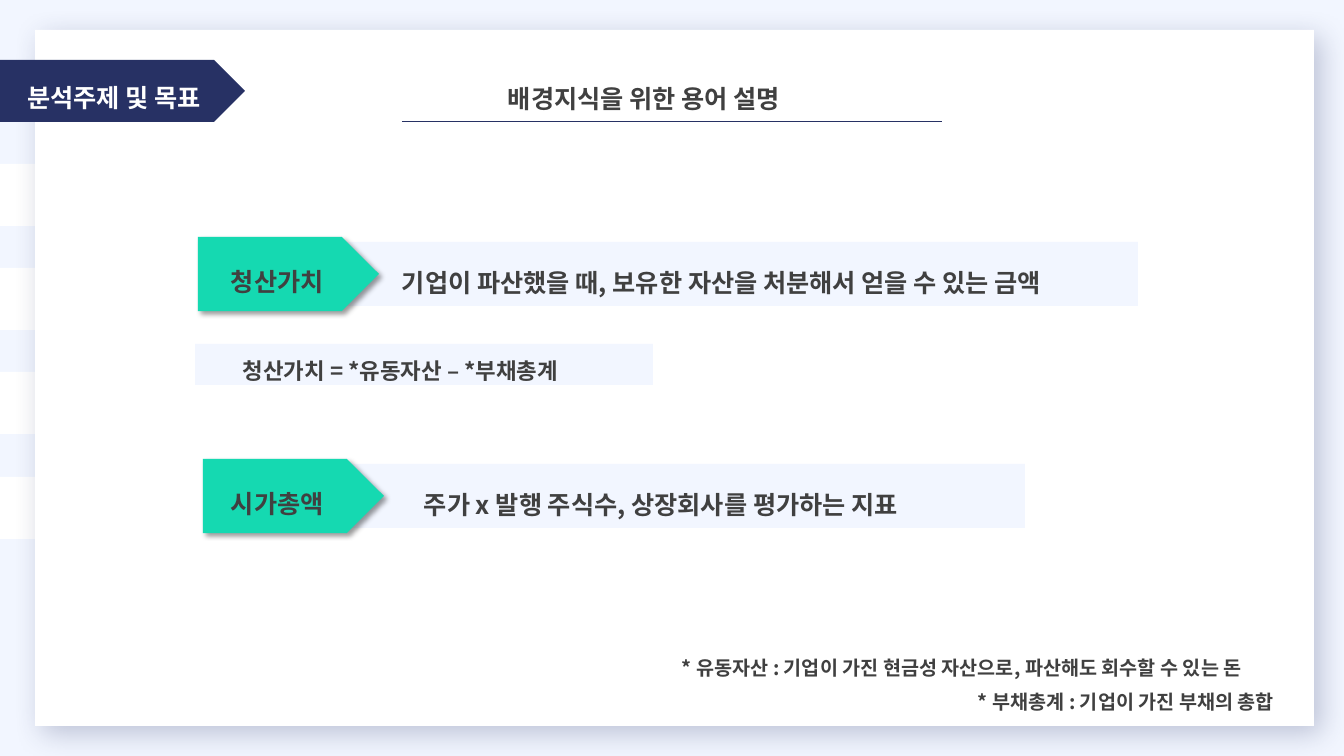
from lxml.etree import SubElement
from pptx import Presentation
from pptx.dml.color import RGBColor
from pptx.enum.shapes import MSO_CONNECTOR, MSO_SHAPE
from pptx.enum.text import MSO_AUTO_SIZE, PP_ALIGN
from pptx.oxml.ns import qn
from pptx.util import Pt

EMU_PER_INCH = 914400
PX_PER_INCH = 100.8
FONT = "Noto Sans CJK KR"
NAVY, MINT, PALE, WHITE, GRAY = "273164", "15D9B1", "F2F6FF", "FFFFFF", "404040"
INDENT = 50


def px(length):
    return round(length * EMU_PER_INCH / PX_PER_INCH)


def color(hex_code):
    return RGBColor.from_string(hex_code)


def add_shadow(panel, hex_code, alpha, blur, distance):
    effects = panel._element.spPr.find(qn("a:effectLst"))
    outer = SubElement(effects, qn("a:outerShdw"), blurRad=str(Pt(blur)),
                       dist=str(Pt(distance)), dir=str(45 * 60000),
                       algn="tl", rotWithShape="0")
    tint = SubElement(outer, qn("a:srgbClr"), val=hex_code)
    SubElement(tint, qn("a:alpha"), val=str(alpha * 1000))


def add_panel(slide, box, fill, preset=MSO_SHAPE.RECTANGLE):
    panel = slide.shapes.add_shape(preset, *map(px, box))
    panel.shadow.inherit = False
    panel.fill.solid()
    panel.fill.fore_color.rgb = color(fill)
    panel.line.fill.background()
    return panel


def add_text(slide, box, wording, size=18, fill=GRAY, indent=INDENT,
             spacing=1.5, align=PP_ALIGN.LEFT):
    frame = slide.shapes.add_textbox(*map(px, box)).text_frame
    frame.word_wrap = True
    frame.auto_size = MSO_AUTO_SIZE.SHAPE_TO_FIT_TEXT
    frame.text = wording
    paragraph = frame.paragraphs[0]
    paragraph.alignment = align
    paragraph.line_spacing = spacing
    if indent:
        paragraph.level = 1
        properties = paragraph._p.get_or_add_pPr()
        properties.set("marL", str(px(indent)))
        properties.set("indent", "0")
    font = paragraph.runs[0].font
    font.size = Pt(size)
    font.bold = True
    font.name = FONT
    font.color.rgb = color(fill)
    SubElement(font._element, qn("a:ea"), typeface=FONT)


def draw_backdrop(slide, left, top, width, height):
    background = slide.background.fill
    background.solid()
    background.fore_color.rgb = color(PALE)
    for index in range(4):
        stripe_top = top + 134 + index * 313 // 3
        add_panel(slide, (0, stripe_top, 324, 62), WHITE, MSO_SHAPE.PENTAGON)
    card = add_panel(slide, (left, top, width, height), WHITE)
    add_shadow(card, NAVY, 26, 20, 8)


def draw_section_tag(slide, left, top, width, height):
    add_panel(slide, (left, top, width, height), NAVY, MSO_SHAPE.PENTAGON)
    add_text(slide, (left + 3, top + 2, width - 23, 50), "분석주제 및 목표",
             fill=WHITE, indent=0, align=PP_ALIGN.CENTER)


def draw_title(slide, left, top, width, height):
    bottom = top + height
    rule = slide.shapes.add_connector(
        MSO_CONNECTOR.STRAIGHT, px(left), px(bottom), px(left + width), px(bottom))
    rule.line.color.rgb = color(NAVY)
    rule.line.width = Pt(0.5)
    SubElement(rule._element.spPr, qn("a:effectLst"))
    add_text(slide, (left + 46, top, 405, 50), "배경지식을 위한 용어 설명")


def draw_term(slide, left, top, width, height, label, label_left, meaning, meaning_left):
    right = left + width
    add_panel(slide, (left + 57, top + 5, width - 57, height - 10), PALE)
    add_text(slide, (meaning_left, top + 10, right + 35 - meaning_left, 50), meaning)
    arrow = add_panel(slide, (left, top, 181, height), MINT, MSO_SHAPE.PENTAGON)
    add_shadow(arrow, "000000", 40, 4, 3)
    add_text(slide, (label_left, top + 9, 201, 50), label)


def draw_formula(slide, left, top, width, height):
    add_panel(slide, (left, top, width, height), PALE)
    add_text(slide, (left - 12, top - 5, width + 12, 45),
             "청산가치 = *유동자산 – *부채총계", size=16)


def draw_footnotes(slide, left, top, width, height):
    notes = (
        (0, "* 유동자산 : 기업이 가진 현금성 자산으로, 파산해도 회수할 수 있는 돈"),
        (296, "* 부채총계 : 기업이 가진 부채의 총합"),
    )
    for index, (shift, note) in enumerate(notes):
        add_text(slide, (left + shift, top + index * height // 2, width - shift, 34),
                 note, size=14, indent=0, spacing=1.0)


def main():
    deck = Presentation()
    deck.slide_width, deck.slide_height = px(1344), px(756)
    slide = deck.slides.add_slide(deck.slide_layouts[6])
    draw_backdrop(slide, 35, 30, 1279, 696)
    draw_section_tag(slide, 0, 60, 245, 62)
    draw_term(slide, 198, 237, 940, 74, "청산가치", 171,
              "기업이 파산했을 때, 보유한 자산을 처분해서 얻을 수 있는 금액", 342)
    draw_term(slide, 203, 459, 822, 74, "시가총액", 171,
              "주가 x 발행 주식수, 상장회사를 평가하는 지표", 364)
    draw_formula(slide, 195, 344, 458, 41)
    draw_footnotes(slide, 672, 651, 664, 68)
    draw_title(slide, 402, 63, 540, 58)
    deck.save("out.pptx")


if __name__ == "__main__":
    main()
